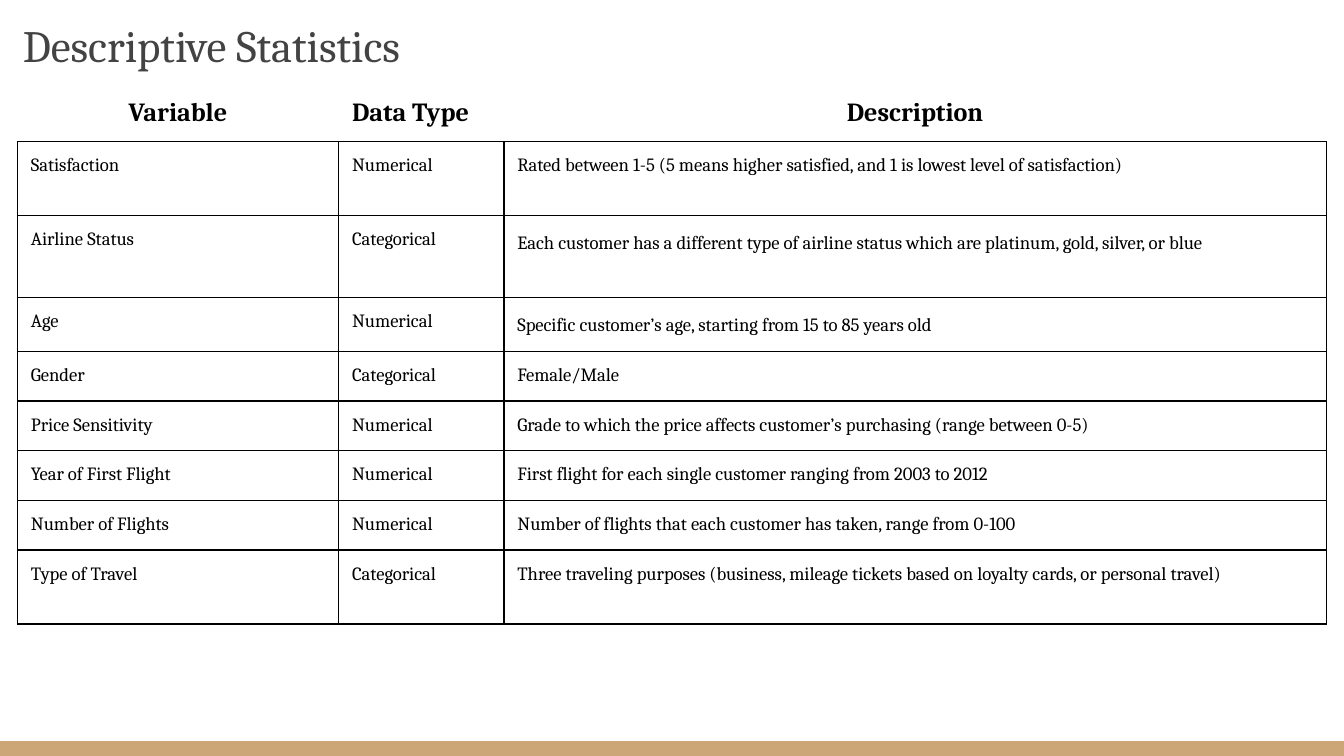
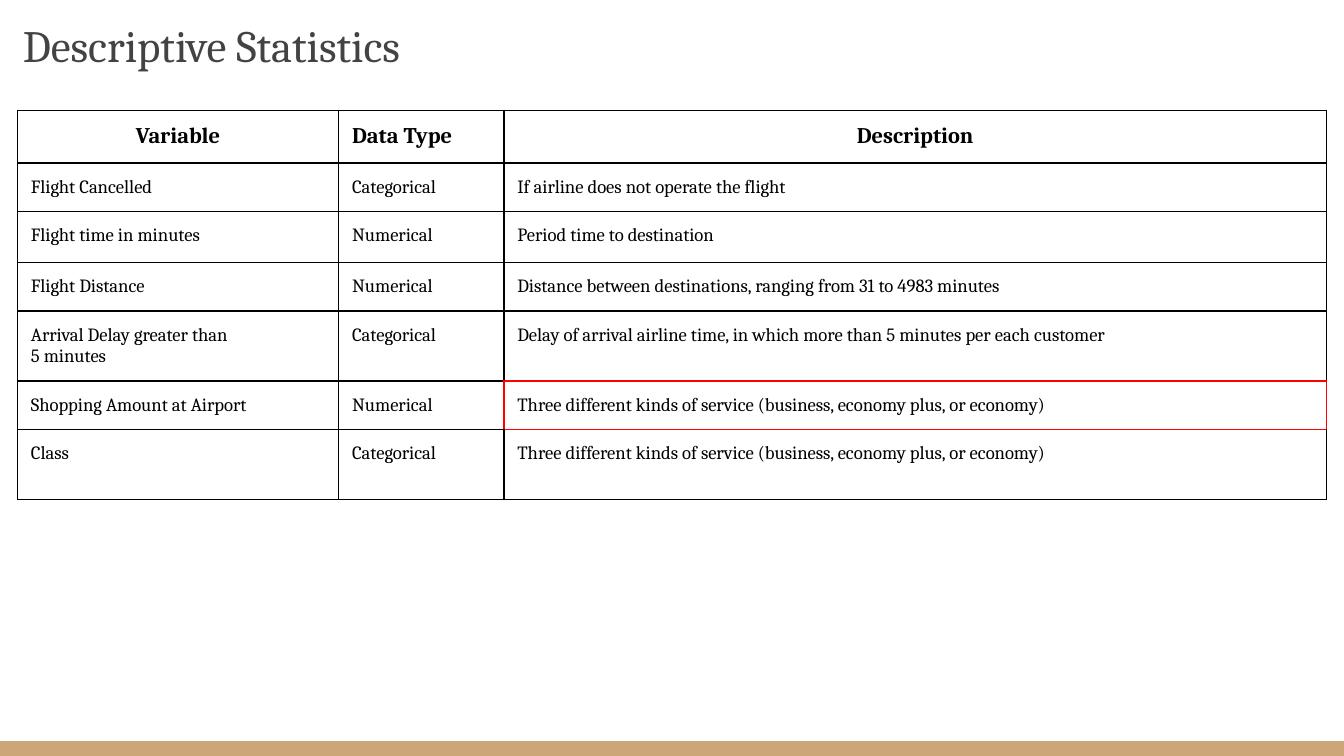
from lxml import etree
from pptx import Presentation
from pptx.dml.color import RGBColor
from pptx.enum.shapes import MSO_SHAPE
from pptx.enum.text import MSO_ANCHOR, MSO_AUTO_SIZE, PP_ALIGN
from pptx.oxml.ns import qn
from pptx.util import Inches, Pt

RECTANGLE = MSO_SHAPE.RECTANGLE
BOTTOM, TOP = MSO_ANCHOR.BOTTOM, MSO_ANCHOR.TOP
NO_FIT = MSO_AUTO_SIZE.NONE
LEFT, CENTER, JUSTIFY = PP_ALIGN.LEFT, PP_ALIGN.CENTER, PP_ALIGN.JUSTIFY

SLIDE_WIDTH = Inches(10)
SLIDE_HEIGHT = SLIDE_WIDTH * 9 // 16
TITLE_ONLY_LAYOUT = 5
FONT = "Cambria"
BLACK = RGBColor(0x00, 0x00, 0x00)
RED = RGBColor(0xFF, 0x00, 0x00)
TITLE_GRAY = RGBColor(0x43, 0x43, 0x43)
BAND_TAN = RGBColor(0xCC, 0xA6, 0x77)

TITLE = "Descriptive Statistics"
TITLE_HEIGHT = Inches(0.63)
BAND_HEIGHT = Inches(0.11)
INSET = Inches(0.1)
TABLE_LEFT = Inches(0.13)
COLUMN_WIDTHS = (2.39, 1.23, 6.12)
BORDER_WIDTH = Pt(0.75)
BODY_SIZE = 10
# Step in rows and columns to the neighbour that shares each side
SIDES = {"lnL": (0, -1), "lnR": (0, 1), "lnT": (-1, 0), "lnB": (1, 0)}

HEADER = ("Variable", "Data Type", "Description")
CUSTOMER_ROWS = (
    HEADER,
    ("Satisfaction", "Numerical",
     "Rated between 1-5 (5 means higher satisfied, and 1 is lowest level of satisfaction)"),
    ("Airline Status", "Categorical",
     "Each customer has a different type of airline status which are platinum, gold, silver, or blue"),
    ("Age", "Numerical", "Specific customer’s age, starting from 15 to 85 years old"),
    ("Gender", "Categorical", "Female/Male"),
    ("Price Sensitivity", "Numerical",
     "Grade to which the price affects customer’s purchasing (range between 0-5)"),
    ("Year of First Flight", "Numerical",
     "First flight for each single customer ranging from 2003 to 2012"),
    ("Number of Flights", "Numerical",
     "Number of flights that each customer has taken, range from 0-100"),
    ("Type of Travel", "Categorical",
     "Three traveling purposes (business, mileage tickets based on loyalty cards, or personal travel)"),
)
CUSTOMER_HEIGHTS = (0.42, 0.55, 0.61, 0.4, 0.37, 0.37, 0.37, 0.37, 0.55)
JUSTIFIED_CELLS = {(2, 2), (3, 2)}

FLIGHT_ROWS = (
    HEADER,
    ("Flight Cancelled", "Categorical", "If airline does not operate the flight"),
    ("Flight time in minutes", "Numerical", "Period time to destination"),
    ("Flight Distance", "Numerical",
     "Distance between destinations, ranging from 31 to 4983 minutes"),
    ("Arrival Delay greater than\n5 minutes", "Categorical",
     "Delay of arrival airline time, in which more than 5 minutes per each customer"),
    ("Shopping Amount at Airport", "Numerical",
     "Three different kinds of service (business, economy plus, or economy)"),
    ("Class", "Categorical",
     "Three different kinds of service (business, economy plus, or economy)"),
)
FLIGHT_HEIGHTS = (0.39, 0.36, 0.38, 0.36, 0.52, 0.36, 0.52)
MARKED_CELL = (5, 2)


def add_span(para, text, size, color, bold=False):
    span = para.add_run()
    span.text = text
    span.font.name = FONT
    span.font.size = Pt(size)
    span.font.bold = bold
    span.font.color.rgb = color


def set_insets(target):
    """Give a text frame or a table cell the same margin on every side."""
    target.margin_left = target.margin_right = INSET
    target.margin_top = target.margin_bottom = INSET


def add_titled_slide(deck):
    slide = deck.slides.add_slide(deck.slide_layouts[TITLE_ONLY_LAYOUT])
    band = slide.shapes.add_shape(
        RECTANGLE, 0, SLIDE_HEIGHT - BAND_HEIGHT, SLIDE_WIDTH, BAND_HEIGHT)
    band.shadow.inherit = False
    band.fill.solid()
    band.fill.fore_color.rgb = BAND_TAN
    band.line.fill.background()

    title = slide.shapes.title
    title.left, title.top = Inches(0.07), 0
    title.width, title.height = Inches(3.63), TITLE_HEIGHT
    frame = title.text_frame
    frame.auto_size = NO_FIT
    frame.word_wrap = True
    frame.vertical_anchor = BOTTOM
    set_insets(frame)
    para = frame.paragraphs[0]
    para.alignment = LEFT
    add_span(para, TITLE, 24, TITLE_GRAY)
    return slide


def set_border(cell, side, color):
    """Draw one side of a cell, or hide it when color is None."""
    properties = cell._tc.get_or_add_tcPr()
    line = etree.SubElement(properties, qn(f"a:{side}"), w=str(BORDER_WIDTH))
    if color is None:
        etree.SubElement(line, qn("a:noFill"))
    else:
        fill = etree.SubElement(line, qn("a:solidFill"))
        etree.SubElement(fill, qn("a:srgbClr"), val=str(color))


def side_color(position, side, open_header, marked):
    row, column = position
    row_step, column_step = SIDES[side]
    if marked in (position, (row + row_step, column + column_step)):
        return RED
    if open_header and row == 0 and side != "lnB":
        return None
    return BLACK


def justify_hanging(para):
    para.alignment = JUSTIFY
    para.line_spacing = 1.15
    properties = para._p.get_or_add_pPr()
    properties.set("marL", str(Inches(0.25)))
    properties.set("indent", str(-Inches(0.25)))


def fill_cell(cell, text, size, bold, alignment):
    set_insets(cell)
    cell.vertical_anchor = TOP
    cell.fill.background()
    frame = cell.text_frame
    for index, line in enumerate(text.split("\n")):
        para = frame.add_paragraph() if index else frame.paragraphs[0]
        if alignment == JUSTIFY:
            justify_hanging(para)
        else:
            para.alignment = alignment
        add_span(para, line, size, BLACK, bold)


def add_variable_table(slide, top, rows, heights, header_size,
                       open_header=False, justified=(), marked=None):
    table = slide.shapes.add_table(
        len(rows), len(HEADER), TABLE_LEFT, Inches(top),
        Inches(sum(COLUMN_WIDTHS)), Inches(sum(heights))).table
    table.first_row = table.horz_banding = False
    for column, width in zip(table.columns, COLUMN_WIDTHS):
        column.width = Inches(width)
    for row, height in zip(table.rows, heights):
        row.height = Inches(height)

    for row, texts in enumerate(rows):
        is_header = row == 0
        for column, text in enumerate(texts):
            position = (row, column)
            cell = table.cell(row, column)
            for side in SIDES:
                set_border(cell, side, side_color(position, side, open_header, marked))
            if is_header and column != 1:
                alignment = CENTER
            else:
                alignment = JUSTIFY if position in justified else LEFT
            size = header_size if is_header else BODY_SIZE
            fill_cell(cell, text, size, is_header, alignment)


def main():
    deck = Presentation()
    deck.slide_width, deck.slide_height = SLIDE_WIDTH, SLIDE_HEIGHT
    add_variable_table(add_titled_slide(deck), 0.63, CUSTOMER_ROWS, CUSTOMER_HEIGHTS,
                       header_size=14, open_header=True, justified=JUSTIFIED_CELLS)
    add_variable_table(add_titled_slide(deck), 0.82, FLIGHT_ROWS, FLIGHT_HEIGHTS,
                       header_size=12, marked=MARKED_CELL)
    deck.save("out.pptx")


if __name__ == "__main__":
    main()
